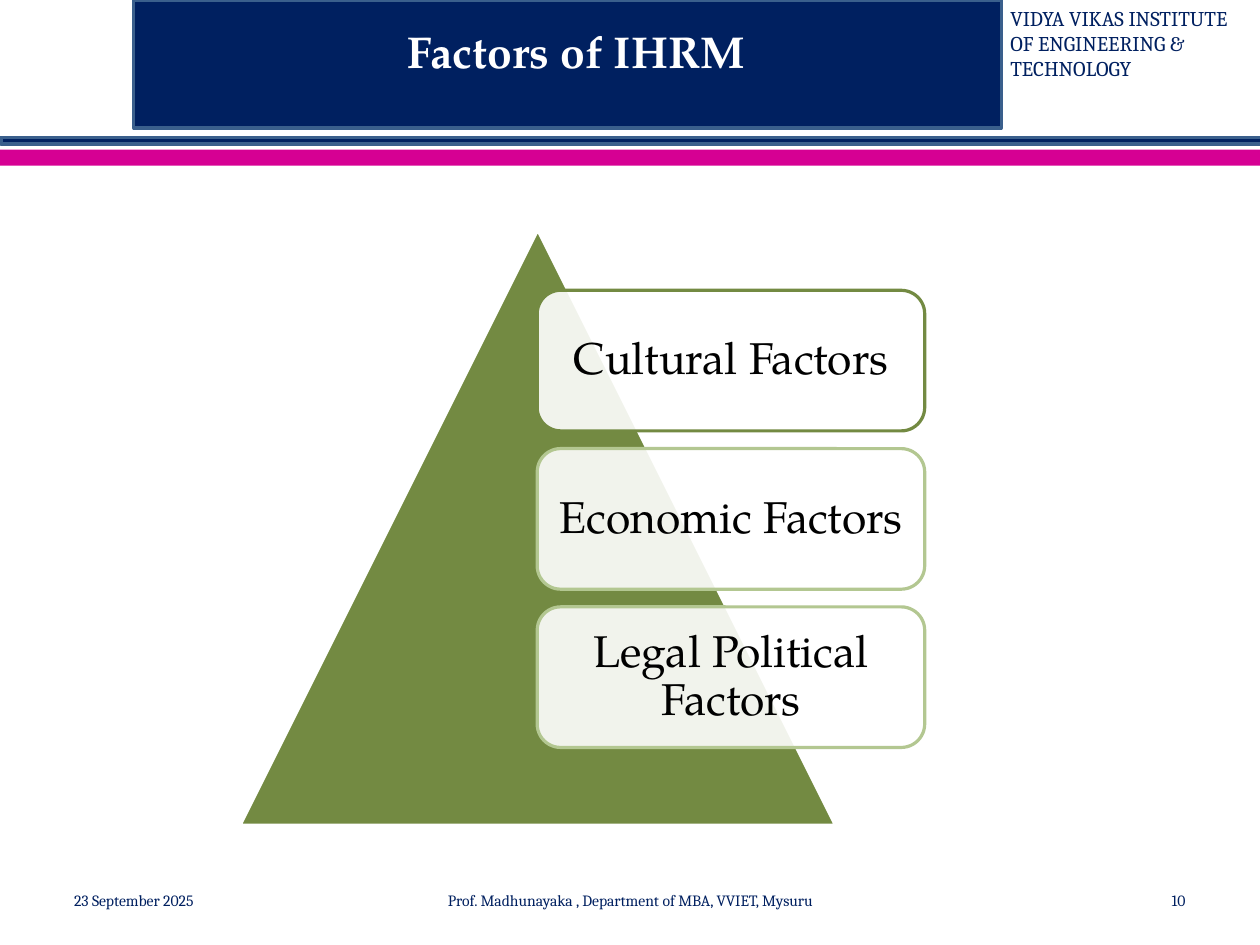
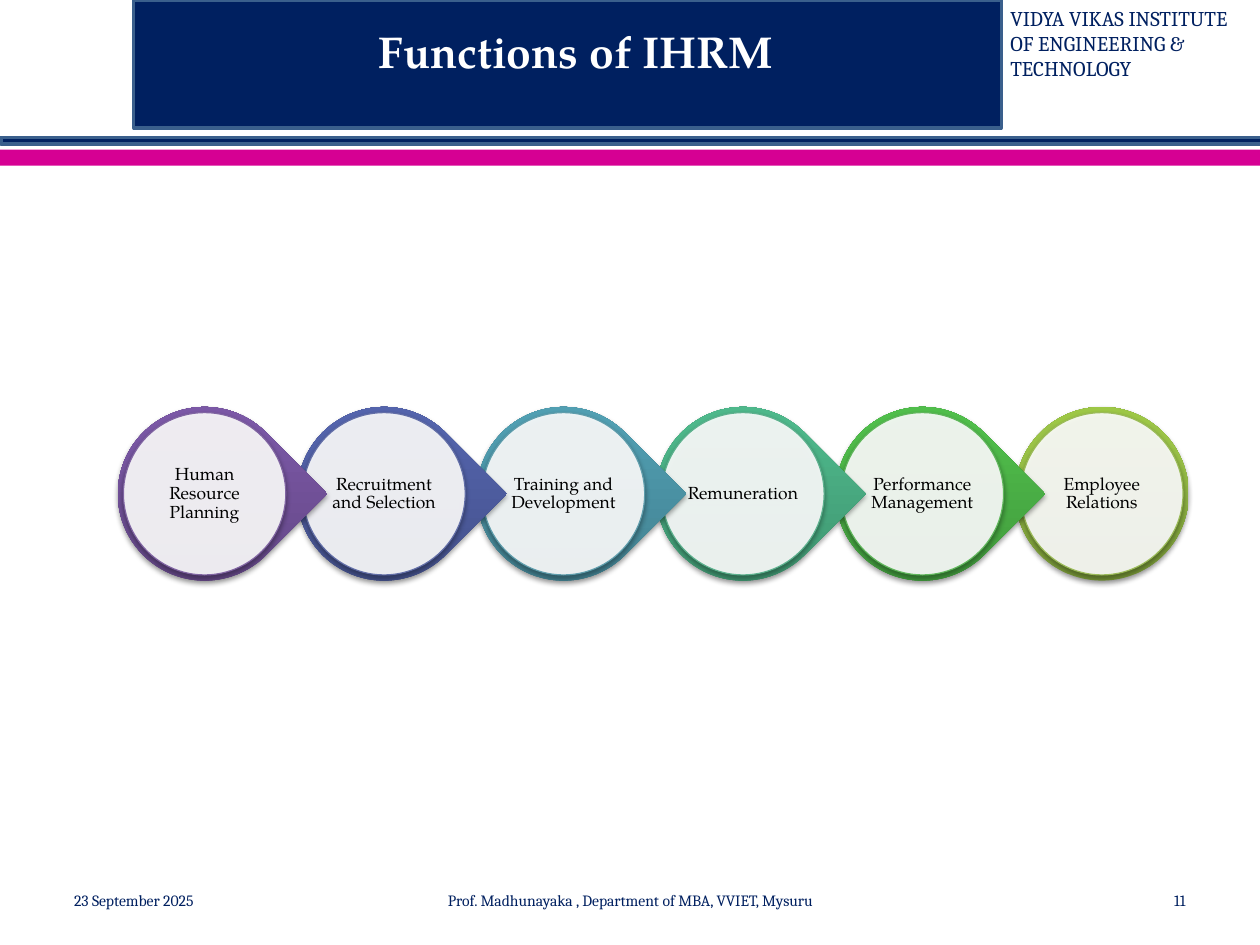
from lxml.etree import SubElement
from pptx import Presentation
from pptx.dml.color import RGBColor
from pptx.enum.shapes import MSO_SHAPE as KIND
from pptx.enum.text import MSO_ANCHOR as ANCHOR, MSO_AUTO_SIZE as AUTO, PP_ALIGN as ALIGN
from pptx.oxml import parse_xml
from pptx.oxml.ns import nsdecls, qn
from pptx.util import Inches, Pt

HUE = {"navy": "002060", "edge": "3A5F8C", "pink": "D60093", "white": "FFFFFF",
       "black": "000000", "olive": "738A42", "sage": "B3C791"}
SERIF, BOOK = "Cambria", "TeX Gyre Pagella"


def write(box, text, size=28, font=BOOK, color="black", bold=False, align=ALIGN.CENTER,
          anchor=ANCHOR.MIDDLE, inset=None, space=None):
    """Put one formatted paragraph into a shape."""
    frame = box.text_frame
    frame.word_wrap = True
    frame.auto_size = AUTO.NONE
    frame.vertical_anchor = anchor
    if inset is not None:
        frame.margin_left = frame.margin_right = Inches(inset)
        frame.margin_top = frame.margin_bottom = Inches(inset)
    para = frame.paragraphs[0]
    para.alignment = align
    para.line_spacing = space
    run = para.add_run()
    run.text = text
    run.font.size, run.font.name, run.font.bold = Pt(size), font, bold
    run.font.color.rgb = RGBColor.from_string(HUE[color])


def draw(slide, kind, place, fill, line=None, width=2, alpha=None, shade=False):
    """Add a shape; fill is one hex colour or a list of (stop, hex)."""
    shape = slide.shapes.add_shape(kind, *[Inches(v) for v in place])
    shape.shadow.inherit = False
    props = shape.element.spPr
    if isinstance(fill, str):
        shape.fill.solid()
        shape.fill.fore_color.rgb = RGBColor.from_string(fill)
    else:
        stops = "".join(f'<a:gs pos="{pos * 1000}"><a:srgbClr val="{tone}"/></a:gs>'
                        for pos, tone in fill)
        props.find(qn("a:prstGeom")).addnext(parse_xml(
            f'<a:gradFill {nsdecls("a")} rotWithShape="0"><a:gsLst>{stops}</a:gsLst>'
            '<a:lin ang="16200000" scaled="0"/></a:gradFill>'))
    if alpha:
        tone = props.find(qn("a:solidFill")).find(qn("a:srgbClr"))
        SubElement(tone, qn("a:alpha")).set("val", str(alpha * 1000))
    if line:
        shape.line.color.rgb = RGBColor.from_string(line)
        shape.line.width = Pt(width)
    else:
        shape.line.fill.background()
    if shade:
        props.find(qn("a:effectLst")).append(parse_xml(
            f'<a:outerShdw {nsdecls("a")} blurRad="{Pt(3.1)}" dist="{Pt(1.8)}" dir="5400000" '
            'rotWithShape="0"><a:srgbClr val="000000"><a:alpha val="35000"/></a:srgbClr>'
            '</a:outerShdw>'))
    return shape


# Page of 28 by 21 cm, without the template's preset size name
deck = Presentation()
deck.slide_width, deck.slide_height = Inches(28 / 2.54), Inches(21 / 2.54)
deck.element.find(qn("p:sldSz")).attrib.pop("type", None)
plan = deck.slide_layouts[5]

# Title and footer of each slide
foot = [(0.55, 2.57, ALIGN.LEFT, "23 September 2025"),
        (3.77, 3.49, ALIGN.CENTER, "Prof. Madhunayaka , Department of MBA, VVIET, Mysuru"),
        (7.9, 2.57, ALIGN.RIGHT, None)]
slides = []
for num, name in enumerate(["Factors of IHRM", "Functions of IHRM"], 10):
    slide = deck.slides.add_slide(plan)
    slides.append(slide)
    title = slide.shapes.title
    title.left, title.top = Inches(1.4), Inches(0.16)
    title.width, title.height = Inches(7.28), Inches(0.9)
    write(title, name, color="white", bold=True, anchor=ANCHOR.TOP)
    for left, width, align, text in foot:
        box = slide.shapes.add_textbox(Inches(left), Inches(7.66), Inches(width), Inches(0.44))
        write(box, text or str(num), size=9.9, font=SERIF, color="navy", align=align)
first, second = slides

# Header bands, moved to the layout that both slides share
bands = [draw(first, KIND.RECTANGLE, place, HUE[fill], line)
         for place, fill, line in [((1.17, 0, 7.59, 1.12), "navy", HUE["edge"]),
                                   ((0.01, 1.2, 11.03, 0.06), "navy", HUE["edge"]),
                                   ((0, 1.31, 11.03, 0.14), "pink", None)]]
school = first.shapes.add_textbox(Inches(8.74), 0, Inches(2.28), Inches(0.77))
write(school, "VIDYA VIKAS INSTITUTE OF ENGINEERING & TECHNOLOGY", size=13.2, font=SERIF,
      color="navy", align=ALIGN.LEFT, anchor=ANCHOR.TOP)
for key, part in enumerate(bands + [school], 20):
    part.element.nvSpPr.cNvPr.set("id", str(key))
    plan.shapes.element.append(part.element)

# Pyramid of factors
draw(first, KIND.ISOSCELES_TRIANGLE, (2.1, 2.01, 5.21, 5.21), HUE["olive"], HUE["white"])
cards = [("Cultural Factors", "olive"), ("Economic Factors", "sage"),
         ("Legal Political Factors", "sage")]
for i, (text, line) in enumerate(cards):
    card = draw(first, KIND.ROUNDED_RECTANGLE, (4.7, 2.54 + 1.385 * i, 3.39, 1.23),
                HUE["white"], HUE[line], alpha=90)
    write(card, text, inset=0.12, space=0.9)

# Chain of functions, drawn from the right so each drop overlaps the next
steps = [("Human Resource Planning", "5F4480", "7B58A6", "7C57A8", "8064A2"),
         ("Recruitment and Selection", "414D85", "5464AC", "5363AF", "626EA7"),
         ("Training and Development", "3F7A89", "519FB2", "50A0B5", "5F9DAC"),
         ("Remuneration", "3C8E6B", "4EB88B", "4CBB8C", "5DB18E"),
         ("Performance Management", "3E923A", "50BE4B", "4FC149", "5FB65B"),
         ("Employee Relations", "779737", "9BC348", "9DC746", "9BBB59")]
last = len(steps) - 1
for i in range(last, -1, -1):
    text, *tones, line = steps[i]
    left = 1.03 + 1.57 * i
    kind = KIND.OVAL if i == last else KIND.TEAR
    drop = draw(second, kind, (left, 3.56, 1.52, 1.52), list(zip((0, 80, 100), tones)),
                shade=True)
    drop.rotation = 0 if i == last else 45
    disc = draw(second, KIND.OVAL, (left + 0.05, 3.61, 1.42, 1.42), HUE["white"], line,
                width=0.75, alpha=90, shade=True)
    write(disc, text, size=11, inset=0, space=0.9)

deck.save("out.pptx")
